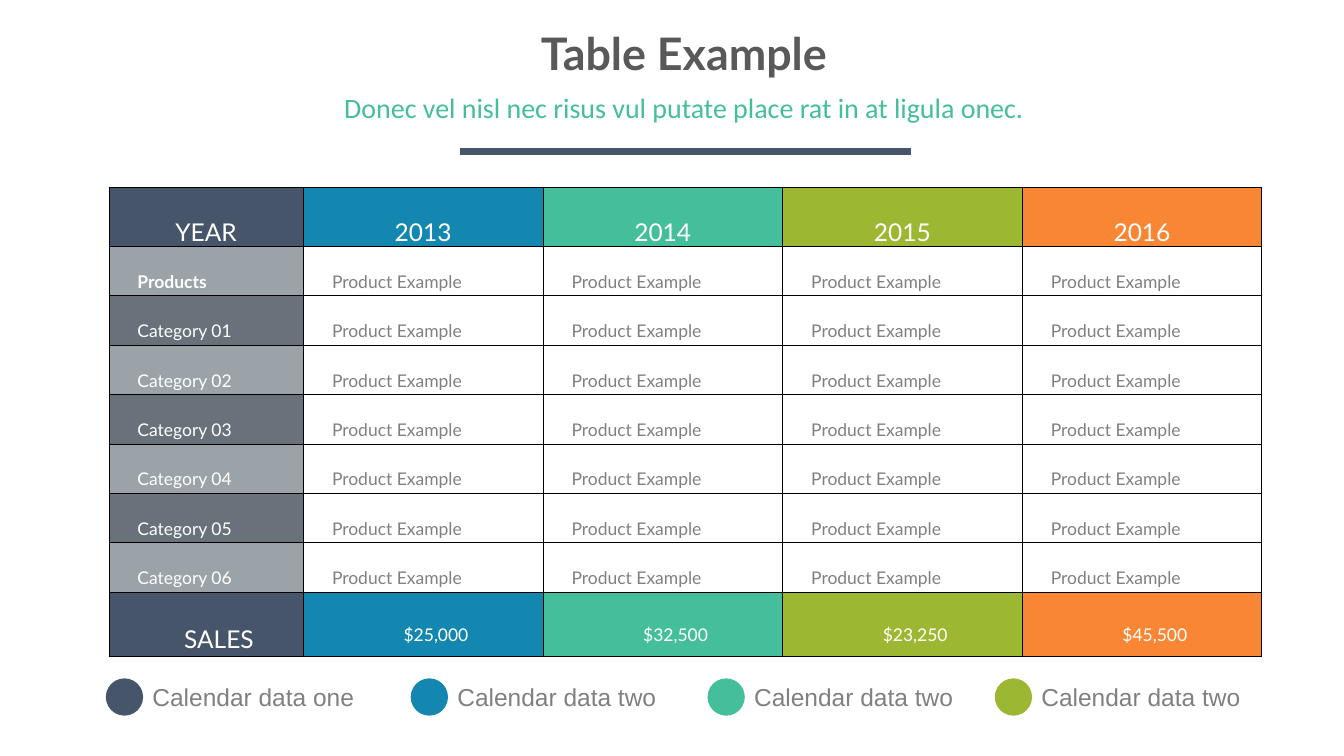
from dataclasses import dataclass

from lxml.etree import SubElement
from pptx import Presentation
from pptx.dml.color import RGBColor as RGB
from pptx.enum.shapes import MSO_CONNECTOR as LINK, MSO_SHAPE as SHAPE
from pptx.enum.text import MSO_ANCHOR as ANCHOR, PP_ALIGN as ALIGN
from pptx.oxml.ns import qn
from pptx.util import Pt


@dataclass(frozen=True)
class Theme:
    """Colours, fonts and type sizes of the slide."""
    navy: str = "46556A"
    blue: str = "1487B1"
    green: str = "44BE9B"
    lime: str = "9CB833"
    orange: str = "F98634"
    light: str = "9CA3A8"
    dark: str = "69727B"
    title: str = "595959"
    grey: str = "808080"
    white: str = "FFFFFF"
    black: str = "000000"
    head: str = "Lato"
    sub: str = "Calibri"
    plain: str = "Arial"
    huge: int = 64
    big: int = 40
    mid: int = 35
    small: int = 25


T = Theme()
HUES = (T.navy, T.blue, T.green, T.lime, T.orange)
YEARS = ("YEAR", "2013", "2014", "2015", "2016")
SIDE = ("Products", *(f"Category {n:02}" for n in range(1, 7)))
SALES = ("SALES", "$25,000", "$32,500", "$23,250", "$45,500")
LEGEND = ((0, "one"), (435.6, "two"), (859.68, "two"), (1270.08, "two"))


def assign(obj, values):
    """Set each named value on an object."""
    for name, value in values.items():
        setattr(obj, name, value)


def write(para, text, size, face, hue, bold=False, align=ALIGN.LEFT):
    """Write one styled run in a paragraph."""
    para.alignment = align
    run = para.add_run()
    run.text = text
    assign(run.font, {"size": Pt(size), "name": face, "bold": bold})
    run.font.color.rgb = RGB.from_string(hue)


def label(slide, box, text, **style):
    """Add a text box with one middle-anchored line."""
    frame = slide.shapes.add_textbox(*map(Pt, box)).text_frame
    assign(frame, {
        "word_wrap": True, "vertical_anchor": ANCHOR.MIDDLE,
        "margin_left": 0, "margin_right": 0,
        "margin_top": Pt(8), "margin_bottom": Pt(8),
    })
    write(frame.paragraphs[0], text, **style)


def border(cell):
    """Draw a thin black line on each side of a cell."""
    props = cell._tc.get_or_add_tcPr()
    for side in ("lnL", "lnR", "lnT", "lnB"):
        line = SubElement(props, qn(f"a:{side}"), w=str(Pt(1)))
        fill = SubElement(line, qn("a:solidFill"))
        SubElement(fill, qn("a:srgbClr"), val=T.black)


def fill_cell(cell, text, fill, pad=4.25, indent=36.72, **style):
    """Format a table cell and write its text."""
    border(cell)
    assign(cell, {
        "vertical_anchor": ANCHOR.MIDDLE,
        "margin_left": Pt(4.25), "margin_right": Pt(4.25),
        "margin_top": Pt(pad), "margin_bottom": Pt(pad),
    })
    if fill:
        cell.fill.solid()
        cell.fill.fore_color.rgb = RGB.from_string(fill)
    else:
        cell.fill.background()
    para = cell.text_frame.paragraphs[0]
    para.line_spacing = 2.0
    props = para._p.get_or_add_pPr()
    props.set("marL", "0")
    props.set("indent", str(Pt(indent)))
    write(para, text, face=T.head, **style)


def heading(slide, box):
    """Place the title, subtitle and rule."""
    left, top, width, height = box
    label(slide, (left, top, width, 67.68), "Table Example", size=T.huge,
          face=T.head, hue=T.title, bold=True, align=ALIGN.CENTER)
    label(slide, (left, top + 85.68, width, 53.28),
          "Donec vel nisl nec risus vul putate place rat in at ligula onec.",
          size=T.big, face=T.sub, hue=T.green, align=ALIGN.CENTER)
    start, base = left + 505.44, top + height
    rule = slide.shapes.add_connector(
        LINK.STRAIGHT, Pt(start), Pt(base), Pt(start + 644.4), Pt(base))
    rule.line.color.rgb = RGB.from_string(T.navy)
    rule.line.width = Pt(10)
    SubElement(rule._element.spPr, qn("a:effectLst"))


def grid(slide, box):
    """Place the sales table."""
    rows, cols = len(SIDE) + 2, len(YEARS)
    table = slide.shapes.add_table(rows, cols, *map(Pt, box)).table
    assign(table, {"first_row": False, "horz_banding": False})
    first = 277.92
    for n, col in enumerate(table.columns):
        col.width = Pt((box[2] - first) / (cols - 1) if n else first)
    heights = (52.56, *[70.56] * len(SIDE), 40.32)
    for row, height in zip(table.rows, heights):
        row.height = Pt(height)
    for c, (year, total, hue) in enumerate(zip(YEARS, SALES, HUES)):
        style = {"fill": hue, "hue": T.white, "align": ALIGN.CENTER}
        fill_cell(table.cell(0, c), year, pad=0, indent=0, size=T.mid, **style)
        fill_cell(table.cell(rows - 1, c), total,
                  size=T.small if c else T.mid, **style)
    for r, name in enumerate(SIDE, 1):
        fill_cell(table.cell(r, 0), name, T.light if r % 2 else T.dark,
                  size=T.small, hue=T.white, bold=r == 1)
        for c in range(1, cols):
            fill_cell(table.cell(r, c), "Product Example", None,
                      size=T.small, hue=T.grey)


def legend(slide, box):
    """Place the coloured dots and their labels."""
    left, top, _, size = box
    for (shift, word), hue in zip(LEGEND, HUES):
        x = left + shift
        label(slide, (x + 66.6, top, 293.04, size), f"Calendar data {word}",
              size=T.mid, face=T.plain, hue=T.grey)
        dot = slide.shapes.add_shape(
            SHAPE.OVAL, Pt(x), Pt(top), Pt(size), Pt(size))
        dot.shadow.inherit = False
        dot.fill.solid()
        dot.fill.fore_color.rgb = RGB.from_string(hue)
        dot.line.fill.background()


def main():
    """Build and save the slide."""
    deck = Presentation()
    assign(deck, {"slide_width": Pt(1920.24), "slide_height": Pt(1080)})
    slide = deck.slides.add_slide(deck.slide_layouts[6])
    heading(slide, (151.2, 41.04, 1651.68, 174.96))
    grid(slide, (155.52, 267.84, 1647.36, 641.52))
    legend(slide, (151.2, 969.12, 1630, 53.28))
    deck.save("out.pptx")


if __name__ == "__main__":
    main()
